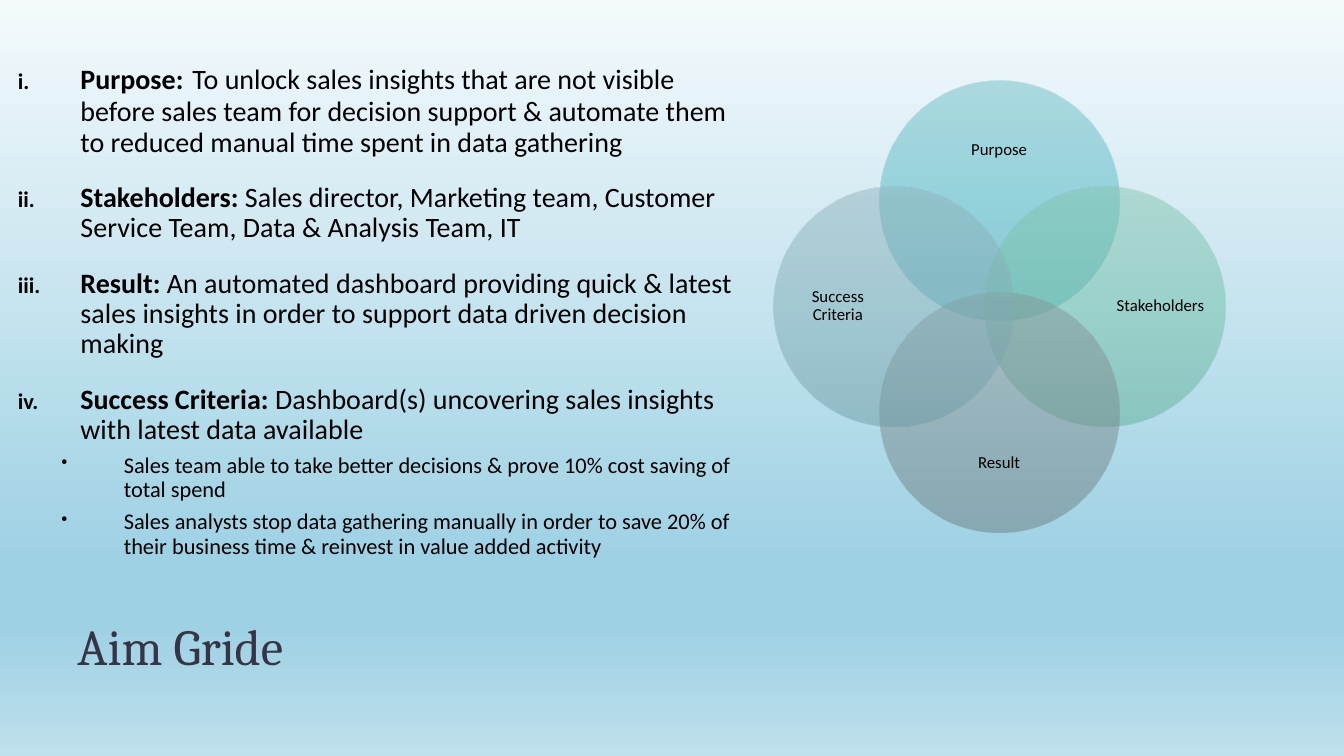
from copy import deepcopy
from dataclasses import dataclass

from lxml.etree import SubElement
from pptx import Presentation
from pptx.dml.color import RGBColor
from pptx.enum.shapes import MSO_SHAPE as Shape
from pptx.enum.text import MSO_ANCHOR as Anchor, PP_ALIGN as Align
from pptx.oxml.ns import qn
from pptx.util import Inches, Pt


@dataclass(frozen=True)
class Theme:
    """Colours, fonts and type sizes of the deck."""
    heading_font: str = "Cambria"
    body_font: str = "Calibri"
    ink: str = "000000"
    heading_ink: str = "373545"
    heading_size: int = 36
    body_size: int = 20
    wide_gap_size: int = 28
    detail_size: int = 16
    label_size: int = 12
    backdrop: tuple = ((0, "F4FAFC"), (74, "9FD1E4"), (83, "9FD1E4"), (100, "BFE0ED"))
    purpose: tuple = ((0, "6FBEC7"), (50, "53BAC5"), (100, "44AAB5"))
    stakeholders: tuple = ((0, "86C5B1"), (50, "71C1A8"), (100, "61AF97"))
    result: tuple = ((0, "89999A"), (50, "798D8F"), (100, "6A7E80"))
    success: tuple = ((0, "92B5BE"), (50, "82AEB8"), (100, "709CA7"))


def add_span(para, text, *, font, size, color, bold=False):
    """Add a formatted run of text to a paragraph."""
    span = para.add_run()
    span.text = text
    span.font.name = font
    span.font.size = Pt(size)
    span.font.bold = bold
    span.font.color.rgb = RGBColor.from_string(color)


class SlideBuilder:
    """Draws styled elements on the current slide."""

    def __init__(self, page, theme):
        """Keep the slide and its theme."""
        self.page = page
        self.theme = theme

    def gradient_shape(self, kind, left, top, width, height, stops, opacity=100):
        """Add a borderless shape with a downward gradient."""
        shape = self.page.shapes.add_shape(
            kind, Inches(left), Inches(top), Inches(width), Inches(height))
        shape.shadow.inherit = False
        shape.line.fill.background()
        shape.fill.gradient()
        shape.fill.gradient_angle = 270
        stop_list = shape._element.spPr.find(qn("a:gradFill")).find(qn("a:gsLst"))
        for old_stop in list(stop_list):
            stop_list.remove(old_stop)
        for position, color in stops:
            stop = SubElement(stop_list, qn("a:gs"), pos=str(position * 1000))
            tint = SubElement(stop, qn("a:srgbClr"), val=color)
            if opacity < 100:
                SubElement(tint, qn("a:alpha"), val=str(opacity * 1000))

    def text_box(self, left, top, width, height, anchor=Anchor.TOP, inset=None):
        """Add a wrapping text box and return its frame."""
        box = self.page.shapes.add_textbox(
            Inches(left), Inches(top), Inches(width), Inches(height))
        frame = box.text_frame
        frame.word_wrap = True
        frame.vertical_anchor = anchor
        if inset is not None:
            frame.margin_left = frame.margin_right = Inches(inset)
            frame.margin_top = frame.margin_bottom = Inches(inset)
        return frame

    def heading(self, text):
        """Add the slide heading."""
        para = self.text_box(0.67, 5.58, 12, 1.17, Anchor.BOTTOM).paragraphs[0]
        para.line_spacing = 0.8
        add_span(para, text, font=self.theme.heading_font,
                 size=self.theme.heading_size, color=self.theme.heading_ink)

    def list_item(self, para, spans, *, margin, space_before, marker):
        """Fill a paragraph as a list item with a hanging marker."""
        para.line_spacing = 0.9
        para.space_before = Pt(space_before)
        properties = para._p.get_or_add_pPr()
        properties.set("marL", str(Inches(margin)))
        properties.set("indent", str(Inches(-0.62)))
        marker_color = SubElement(properties, qn("a:buClr"))
        SubElement(marker_color, qn("a:srgbClr"), val=self.theme.ink)
        SubElement(properties, qn("a:buSzPct"), val="80000")
        properties.append(deepcopy(marker))
        for text, size, bold in spans:
            add_span(para, text, font=self.theme.body_font, size=size,
                     color=self.theme.ink, bold=bold)

    def aims(self, aims, details):
        """Add the numbered aims followed by bulleted details."""
        theme = self.theme
        frame = self.text_box(0.08, 0.5, 7.5, 5.58)
        holder = frame._txBody
        number = SubElement(holder, qn("a:buAutoNum"), type="romanLcPeriod")
        bullet = SubElement(holder, qn("a:buChar"), char="•")
        holder.remove(number)
        holder.remove(bullet)
        for index, (name, gap_size, text) in enumerate(aims):
            para = frame.add_paragraph() if index else frame.paragraphs[0]
            spans = ((name, theme.body_size, True), (" ", gap_size, False),
                     (text, theme.body_size, False))
            self.list_item(para, spans, margin=0.62, space_before=18, marker=number)
        for text in details:
            self.list_item(frame.add_paragraph(), ((text, theme.detail_size, False),),
                           margin=1.05, space_before=6, marker=bullet)

    def venn(self, circles):
        """Add four overlapping circles with labels towards their outer edges."""
        center_x, center_y, diameter, reach = 9.91, 3.04, 2.38, 1.05
        for text, across, down, stops in circles:
            self.gradient_shape(
                Shape.OVAL, center_x + across * reach - diameter / 2,
                center_y + down * reach - diameter / 2, diameter, diameter, stops, 50)
            width, height = (0.92, 1.83) if across else (1.83, 0.76)
            frame = self.text_box(
                center_x + across * 1.6 - width / 2,
                center_y + down * 1.55 - height / 2, width, height, Anchor.MIDDLE, 0)
            para = frame.paragraphs[0]
            para.alignment = Align.CENTER
            para.line_spacing = 0.9
            add_span(para, text, font=self.theme.body_font,
                     size=self.theme.label_size, color=self.theme.ink)


def main():
    """Build and save the deck."""
    theme = Theme()
    deck = Presentation()
    deck.slide_width, deck.slide_height = Inches(13.33), Inches(7.5)
    builder = SlideBuilder(deck.slides.add_slide(deck.slide_layouts[6]), theme)
    builder.gradient_shape(Shape.RECTANGLE, 0, 0, 13.33, 7.5, theme.backdrop)
    builder.heading("Aim Gride")
    builder.aims(
        (
            ("Purpose:", theme.wide_gap_size,
             "To unlock sales insights that are not visible before sales team for decision "
             "support & automate them to reduced manual time spent in data gathering"),
            ("Stakeholders:", theme.body_size,
             "Sales director, Marketing team, Customer Service Team, "
             "Data & Analysis Team, IT"),
            ("Result:", theme.body_size,
             "An automated dashboard providing quick & latest sales insights in order "
             "to support data driven decision making"),
            ("Success Criteria:", theme.body_size,
             "Dashboard(s) uncovering sales insights with latest data available"),
        ),
        (
            "Sales team able to take better decisions & prove 10% cost saving of total spend",
            "Sales analysts stop data gathering manually in order to save 20% of their "
            "business time & reinvest in value added activity",
        ),
    )
    builder.venn((
        ("Purpose", 0, -1, theme.purpose),
        ("Stakeholders", 1, 0, theme.stakeholders),
        ("Result", 0, 1, theme.result),
        ("Success Criteria", -1, 0, theme.success),
    ))
    deck.save("out.pptx")


if __name__ == "__main__":
    main()
